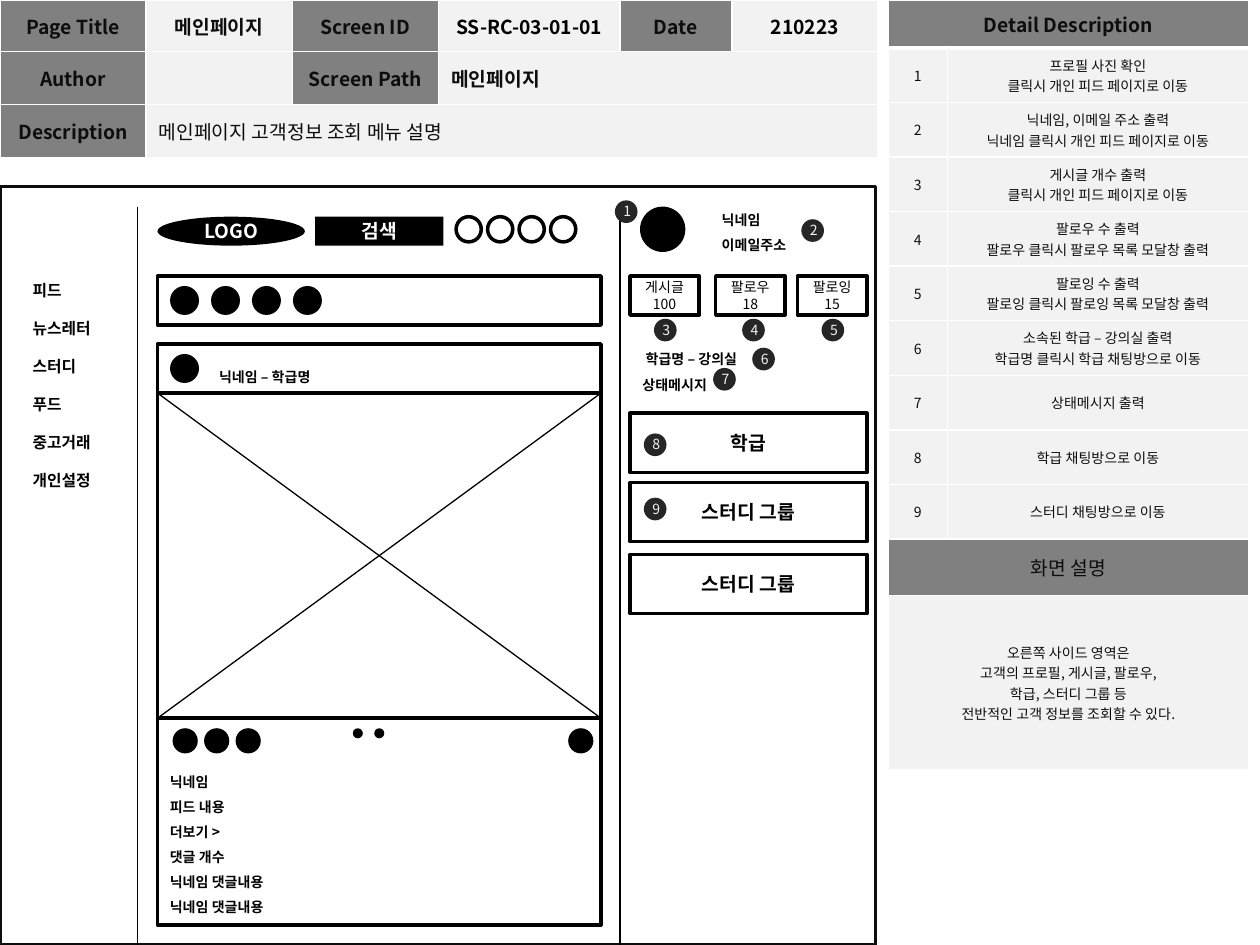
"""Build a wireframe slide of a main page with its screen specification tables."""
from dataclasses import dataclass
from typing import Optional, Sequence

from lxml.etree import SubElement
from pptx import Presentation
from pptx.dml.color import RGBColor
from pptx.enum.shapes import MSO_CONNECTOR, MSO_SHAPE
from pptx.enum.text import MSO_ANCHOR, MSO_AUTO_SIZE, PP_ALIGN
from pptx.oxml.ns import qn
from pptx.util import Inches, Pt


@dataclass(frozen=True)
class Theme:
    font: str = "Noto Sans CJK KR"
    black: str = "000000"
    ink: str = "0D0D0D"
    white: str = "FFFFFF"
    header: str = "808080"
    cell: str = "F2F2F2"
    badge: str = "262626"
    large: int = 11
    medium: int = 9
    small: int = 8
    outline: float = 2
    hairline: float = 0.75


THEME = Theme()


@dataclass(frozen=True)
class TextStyle:
    size: int = THEME.small
    color: str = THEME.black
    bold: bool = False
    align: Optional[PP_ALIGN] = PP_ALIGN.CENTER
    spacing: Optional[float] = None


@dataclass(frozen=True)
class Box:
    left: float
    top: float
    width: float
    height: float
    text: str = ""
    style: TextStyle = TextStyle()
    fill: Optional[str] = THEME.white
    line: Optional[str] = THEME.black
    kind: MSO_SHAPE = MSO_SHAPE.RECTANGLE


@dataclass(frozen=True)
class Cell:
    row: int
    column: int
    text: str
    style: TextStyle
    fill: str = THEME.cell
    span: int = 1
    bottom: float = 1


@dataclass(frozen=True)
class Badge:
    number: int
    left: float
    top: float


LABEL = TextStyle(THEME.large, THEME.ink, True)
VALUE = TextStyle(THEME.large, THEME.black, True)
NOTE = TextStyle(color=THEME.ink)
INVERSE = TextStyle(THEME.large, THEME.white, True)
CAPTION = TextStyle(bold=True, align=None, spacing=1.5)
MENU = TextStyle(THEME.medium, bold=True, align=None, spacing=2)
BADGE = TextStyle(color=THEME.cell, align=None)


def write_text(frame, text: str, style: TextStyle) -> None:
    frame.text = text
    for paragraph in frame.paragraphs:
        paragraph.alignment = style.align
        if style.spacing:
            paragraph.line_spacing = style.spacing
        font = paragraph.font
        font.name, font.size, font.bold = THEME.font, Pt(style.size), style.bold
        font.color.rgb = RGBColor.from_string(style.color)
        properties = paragraph._p.pPr.find(qn("a:defRPr"))
        SubElement(properties, qn("a:ea"), typeface=THEME.font)
        if not text:
            SubElement(paragraph._p, qn("a:endParaRPr"), sz=str(style.size * 100))


def add_box(shapes, box: Box) -> None:
    shape = shapes.add_shape(box.kind, Inches(box.left), Inches(box.top), Inches(box.width), Inches(box.height))
    shape.shadow.inherit = False
    if box.fill:
        shape.fill.solid()
        shape.fill.fore_color.rgb = RGBColor.from_string(box.fill)
    else:
        shape.fill.background()
    if box.line:
        shape.line.color.rgb = RGBColor.from_string(box.line)
        shape.line.width = Pt(THEME.outline)
    else:
        shape.line.fill.background()
    if box.text:
        shape.text_frame.vertical_anchor = MSO_ANCHOR.MIDDLE
        write_text(shape.text_frame, box.text, box.style)


def add_text(shapes, left: float, top: float, width: float, height: float,
             text: str, style: TextStyle, wrap: bool = True) -> None:
    frame = shapes.add_textbox(Inches(left), Inches(top), Inches(width), Inches(height)).text_frame
    frame.word_wrap = wrap
    frame.auto_size = MSO_AUTO_SIZE.SHAPE_TO_FIT_TEXT
    write_text(frame, text, style)


def add_line(shapes, left: float, top: float, right: float, bottom: float) -> None:
    line = shapes.add_connector(MSO_CONNECTOR.STRAIGHT, Inches(left), Inches(top), Inches(right), Inches(bottom))
    line.line.color.rgb = RGBColor.from_string(THEME.black)
    line.line.width = Pt(THEME.hairline)
    SubElement(line._element.spPr, qn("a:effectLst"))


def add_dots(shapes, lefts: Sequence[float], top: float, size: float, filled: bool = True) -> None:
    fill, line = (THEME.black, None) if filled else (None, THEME.black)
    for left in lefts:
        add_box(shapes, Box(left, top, size, size, fill=fill, line=line, kind=MSO_SHAPE.OVAL))


def add_badge(shapes, badge: Badge) -> None:
    group = shapes.add_group_shape().shapes
    add_box(group, Box(badge.left, badge.top, 0.18, 0.18, fill=THEME.badge, line=None, kind=MSO_SHAPE.OVAL))
    add_text(group, badge.left - 0.03, badge.top - 0.03, 0.26, 0.24, str(badge.number), BADGE, wrap=False)


def add_grid(shapes, left: float, widths: Sequence[float], heights: Sequence[float], cells: Sequence[Cell]) -> None:
    table = shapes.add_table(len(heights), len(widths), Inches(left), 0,
                             Inches(sum(widths)), Inches(sum(heights))).table
    table.first_row = table.horz_banding = False
    for column, width in zip(table.columns, widths):
        column.width = Inches(width)
    for row, height in zip(table.rows, heights):
        row.height = Inches(height)
    for item in cells:
        cell = table.cell(item.row, item.column)
        if item.span > 1:
            cell.merge(table.cell(item.row, item.column + item.span - 1))
        cell.vertical_anchor = MSO_ANCHOR.MIDDLE
        write_text(cell.text_frame, item.text, item.style)
        properties = cell._tc.get_or_add_tcPr()
        for side in ("L", "R", "T", "B"):
            weight = item.bottom if side == "B" else 1
            border = SubElement(properties, qn(f"a:ln{side}"), w=str(Pt(weight)))
            SubElement(SubElement(border, qn("a:solidFill")), qn("a:srgbClr"), val=THEME.white)
        cell.fill.solid()
        cell.fill.fore_color.rgb = RGBColor.from_string(item.fill)


def add_tables(shapes) -> None:
    left_value = TextStyle(THEME.large, THEME.ink, True, None)
    summary = [Cell(0, column, text, LABEL if column < 3 else VALUE if column != 4 else LABEL,
                    THEME.cell if column % 2 else THEME.header)
               for column, text in enumerate(
                   ("Page Title", "메인페이지", "Screen ID", "SS-RC-03-01-01", "Date", "210223"))]
    summary += [
        Cell(1, 0, "Author", LABEL, THEME.header),
        Cell(1, 1, "", LABEL),
        Cell(1, 2, "Screen Path", LABEL, THEME.header),
        Cell(1, 3, "메인페이지", left_value, span=3),
        Cell(2, 0, "Description", LABEL, THEME.header),
        Cell(2, 1, "메인페이지 고객정보 조회 메뉴 설명", TextStyle(THEME.large, THEME.ink, align=None), span=5),
    ]
    add_grid(shapes, 0, (1.16, 1.16, 1.16, 1.44, 0.89, 1.16), (0.41, 0.42, 0.42), summary)

    notes = ("프로필 사진 확인\n클릭시 개인 피드 페이지로 이동", "닉네임, 이메일 주소 출력\n닉네임 클릭시 개인 피드 페이지로 이동",
             "게시글 개수 출력\n클릭시 개인 피드 페이지로 이동", "팔로우 수 출력\n팔로우 클릭시 팔로우 목록 모달창 출력",
             "팔로잉 수 출력\n팔로잉 클릭시 팔로잉 목록 모달창 출력", "소속된 학급 – 강의실 출력\n학급명 클릭시 학급 채팅방으로 이동",
             "상태메시지 출력", "학급 채팅방으로 이동", "스터디 채팅방으로 이동")
    overview = "오른쪽 사이드 영역은\n고객의 프로필, 게시글, 팔로우,\n학급, 스터디 그룹 등\n전반적인 고객 정보를 조회할 수 있다."
    details = [Cell(0, 0, "Detail Description", LABEL, THEME.header, 2, bottom=3)]
    for number, note in enumerate(notes, 1):
        details += [Cell(number, 0, str(number), NOTE), Cell(number, 1, note, NOTE)]
    details += [Cell(10, 0, "화면 설명", TextStyle(THEME.large, THEME.ink), THEME.header, 2),
                Cell(11, 0, overview, NOTE, span=2)]
    add_grid(shapes, 7.05, (0.47, 2.39), (0.38, *[3.9 / 9] * 9, 0.45, 1.38), details)


def add_feed(shapes) -> None:
    add_box(shapes, Box(1.25, 1.72, 1.17, 0.23, "LOGO", INVERSE, THEME.black, None, MSO_SHAPE.OVAL))
    add_box(shapes, Box(2.5, 1.72, 1.02, 0.23, "검색", INVERSE, THEME.black, None))
    add_dots(shapes, [3.62 + 0.25 * i for i in range(4)], 1.72, 0.2, filled=False)
    add_box(shapes, Box(1.25, 2.19, 3.52, 0.39))
    add_dots(shapes, [1.35 + 0.325 * i for i in range(4)], 2.27, 0.23)
    add_box(shapes, Box(1.25, 2.73, 3.52, 4.61))
    add_dots(shapes, [1.35], 2.81, 0.23)
    add_text(shapes, 1.64, 2.81, 1.33, 0.3, "닉네임 – 학급명", CAPTION)
    add_box(shapes, Box(1.25, 3.12, 3.52, 2.58, fill=None))
    add_line(shapes, 1.25, 3.12, 4.77, 5.7)
    add_line(shapes, 1.25, 5.7, 4.77, 3.12)
    add_text(shapes, 1.25, 6.02, 1.33, 1.31,
             "닉네임\n피드 내용\n더보기 >\n댓글 개수\n닉네임 댓글내용\n닉네임 댓글내용", CAPTION)
    add_dots(shapes, (1.37, 1.62, 1.87, 4.51), 5.78, 0.2)
    add_dots(shapes, (2.8, 2.97), 5.78, 0.08)


def add_profile(shapes) -> None:
    add_dots(shapes, [5.08], 1.64, 0.36)
    add_text(shapes, 5.63, 1.56, 0.94, 0.48, "닉네임\n이메일주소", CAPTION)
    for left, text in ((5, "게시글\n100"), (5.68, "팔로우18"), (6.33, "팔로잉15")):
        add_box(shapes, Box(left, 2.19, 0.55, 0.31, text))
    add_text(shapes, 5, 2.67, 1.72, 0.5, " 학급명 – 강의실\n상태메시지", CAPTION)
    for top, text in ((3.28, "학급"), (3.83, "스터디 그룹"), (4.4, "스터디 그룹")):
        add_box(shapes, Box(5, top, 1.88, 0.47, text, VALUE))
    for badge in (Badge(1, 4.88, 1.59), Badge(2, 6.36, 1.74), Badge(3, 5.19, 2.53),
                  Badge(4, 5.89, 2.53), Badge(5, 6.52, 2.53), Badge(6, 5.97, 2.76),
                  Badge(7, 5.66, 2.92), Badge(8, 5.11, 3.44), Badge(9, 5.11, 3.95)):
        add_badge(shapes, badge)


def main() -> None:
    presentation = Presentation()
    presentation.slide_width, presentation.slide_height = Inches(10), Inches(7.5)
    shapes = presentation.slides.add_slide(presentation.slide_layouts[6]).shapes
    add_tables(shapes)
    add_box(shapes, Box(0, 1.48, 6.95, 6.02, fill=None, line=THEME.ink))
    add_text(shapes, 0.16, 2.03, 1.48, 1.87, "피드\n뉴스레터\n스터디\n푸드\n중고거래\n개인설정", MENU)
    for left in (1.09, 4.92):
        add_line(shapes, left, 1.64, left, 7.5)
    add_feed(shapes)
    add_profile(shapes)
    presentation.save("out.pptx")


main()
